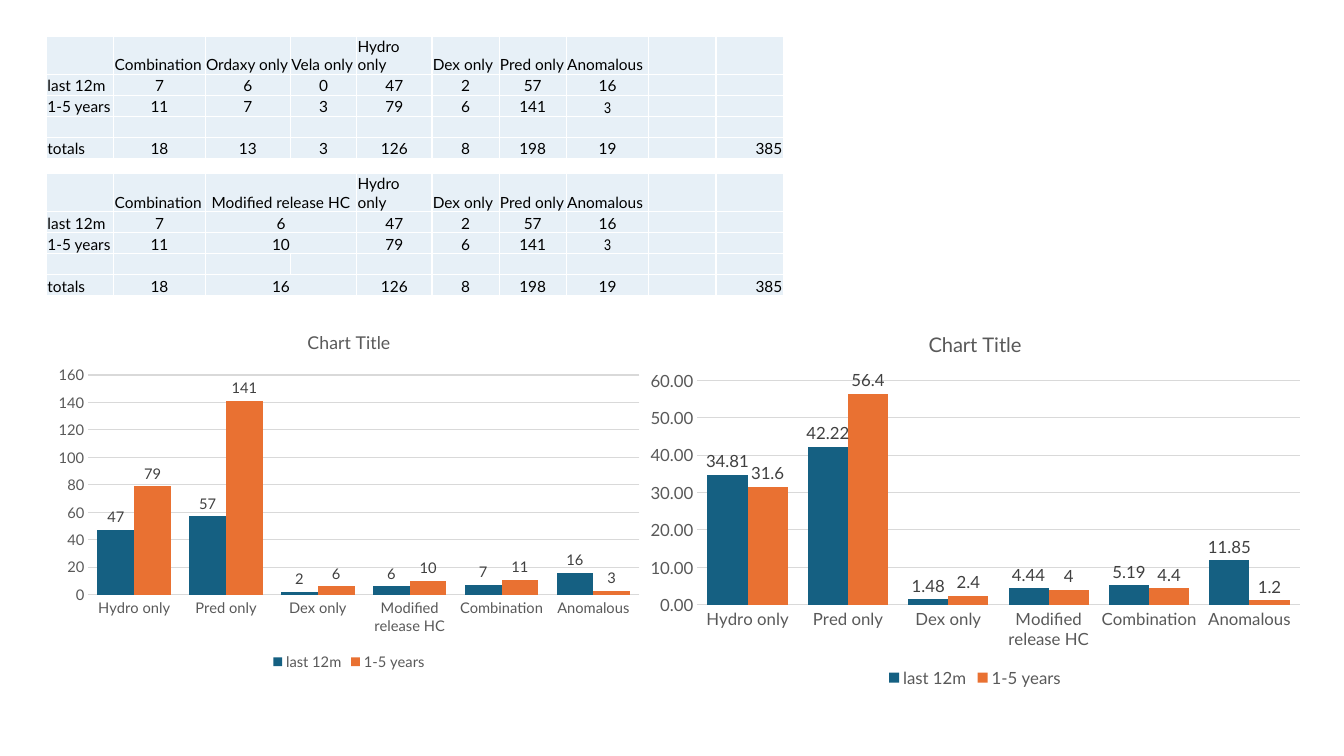
from lxml.etree import SubElement
from pptx import Presentation
from pptx.chart.data import CategoryChartData
from pptx.dml.color import RGBColor
from pptx.enum.chart import XL_CHART_TYPE as ChartType
from pptx.enum.chart import XL_LABEL_POSITION as LabelPosition
from pptx.enum.chart import XL_LEGEND_POSITION as LegendPosition
from pptx.enum.chart import XL_TICK_MARK as TickMark
from pptx.enum.text import MSO_ANCHOR as Anchor
from pptx.enum.text import PP_ALIGN as Align
from pptx.oxml.ns import qn
from pptx.util import Pt

BLACK = RGBColor(0x00, 0x00, 0x00)
WHITE = RGBColor(0xFF, 0xFF, 0xFF)
PALE_BLUE = RGBColor(0xE7, 0xF0, 0xF7)
GRID_GREY = RGBColor(0xD9, 0xD9, 0xD9)
TEXT_GREY = RGBColor(0x59, 0x59, 0x59)
LABEL_GREY = RGBColor(0x40, 0x40, 0x40)
TEAL = RGBColor(0x15, 0x60, 0x82)
ORANGE = RGBColor(0xE9, 0x71, 0x32)

FONT = "Lato"
CELL_SIZE = 11
COLUMN_WIDTHS = [48, 65.3, 61, 47.3, 53.7, 48, 48, 59, 48, 48]
ROW_HEIGHT = 15
ANOMALOUS_RECENT = (2, 7)  # the one cell set in a narrow font

# None joins a cell to the one on its left
PREPARATION_ROWS = [
    ["", "Combination", "Ordaxy only", "Vela only", "Hydro only",
     "Dex only", "Pred only", "Anomalous", "", ""],
    ["last 12m", "7", "6", "0", "47", "2", "57", "16", "", ""],
    ["1-5 years", "11", "7", "3", "79", "6", "141", "3", "", ""],
    [""] * 10,
    ["totals", "18", "13", "3", "126", "8", "198", "19", "", "385"],
]
GROUPED_ROWS = [
    ["", "Combination", "Modified release HC", None, "Hydro only",
     "Dex only", "Pred only", "Anomalous", "", ""],
    ["last 12m", "7", "6", None, "47", "2", "57", "16", "", ""],
    ["1-5 years", "11", "10", None, "79", "6", "141", "3", "", ""],
    [""] * 10,
    ["totals", "18", "16", None, "126", "8", "198", "19", "", "385"],
]

CATEGORIES = ["Hydro only", "Pred only", "Dex only",
              "Modified release HC", "Combination", "Anomalous"]
COUNTS = [
    ("last 12m", [47, 57, 2, 6, 7, 16], "General"),
    ("1-5 years", [79, 141, 6, 10, 11, 3], "General"),
]
PERCENTAGES = [
    ("last 12m", [34.81, 42.22, 1.48, 4.44, 5.19, 11.85], "0.00"),
    ("1-5 years", [31.6, 56.4, 2.4, 4, 4.4, 1.2], "General"),
]


def set_font(font, size, color, name=FONT):
    font.size = Pt(size)
    font.name = name
    font.bold = False
    font.color.rgb = color


def style_cell(cell):
    """Give a cell white borders, a pale fill and tight margins."""
    properties = cell._tc.get_or_add_tcPr()
    for side in ("a:lnL", "a:lnR", "a:lnT", "a:lnB"):
        border = SubElement(properties, qn(side), w=str(Pt(1)))
        fill = SubElement(border, qn("a:solidFill"))
        SubElement(fill, qn("a:srgbClr"), val=str(WHITE))
    cell.fill.solid()
    cell.fill.fore_color.rgb = PALE_BLUE
    cell.vertical_anchor = Anchor.BOTTOM
    cell.margin_left = cell.margin_right = cell.margin_top = Pt(0.6)
    cell.margin_bottom = 0


def cell_alignment(row, column, joined):
    if column == len(COLUMN_WIDTHS) - 1:
        return Align.RIGHT
    if column == 0 or (row == 0 and not joined):
        return Align.LEFT
    return Align.CENTER


def write_cell(cell, text, alignment, font_name):
    para = cell.text_frame.paragraphs[0]
    if not text:
        SubElement(para._p, qn("a:endParaRPr"), sz=str(CELL_SIZE * 100))
        return
    para.alignment = alignment
    span = para.add_run()
    span.text = text
    set_font(span.font, CELL_SIZE, BLACK, font_name)


def add_patient_table(page, left, top, rows):
    frame = page.shapes.add_table(
        len(rows), len(COLUMN_WIDTHS), Pt(left), Pt(top),
        Pt(sum(COLUMN_WIDTHS)), Pt(ROW_HEIGHT * len(rows)))
    table = frame.table
    table.first_row = table.horz_banding = False
    for column, width in zip(table.columns, COLUMN_WIDTHS):
        column.width = Pt(width)
    for r, texts in enumerate(rows):
        table.rows[r].height = Pt(ROW_HEIGHT)
        for c, text in enumerate(texts):
            cell = table.cell(r, c)
            style_cell(cell)
            joined = None in texts[c + 1:c + 2]
            name = "Arial Narrow" if (r, c) == ANOMALOUS_RECENT else FONT
            write_cell(cell, text, cell_alignment(r, c, joined), name)
            if text is None:
                table.cell(r, c - 1).merge(cell)


def style_axes(chart, size, number_format):
    for axis in (chart.category_axis, chart.value_axis):
        axis.major_tick_mark = axis.minor_tick_mark = TickMark.NONE
        set_font(axis.tick_labels.font, size, TEXT_GREY)
    values = chart.value_axis
    values.tick_labels.number_format = number_format
    values.tick_labels.number_format_is_linked = False
    values.format.line.fill.background()
    for line in (chart.category_axis.format.line,
                 values.major_gridlines.format.line):
        line.color.rgb = GRID_GREY
        line.width = Pt(0.75)


def style_series(series, color, size, number_format):
    series.format.fill.solid()
    series.format.fill.fore_color.rgb = color
    labels = series.data_labels
    labels.show_value = True
    labels.position = LabelPosition.OUTSIDE_END
    labels.number_format = number_format
    labels.number_format_is_linked = False
    set_font(labels.font, size, LABEL_GREY)


def add_treatment_chart(page, left, top, width, height, rows, size, axis_format):
    data = CategoryChartData()
    data.categories = CATEGORIES
    for name, values, number_format in rows:
        data.add_series(name, values, number_format)
    chart = page.shapes.add_chart(
        ChartType.COLUMN_CLUSTERED, Pt(left), Pt(top), Pt(width), Pt(height),
        data).chart
    set_font(chart.font, size, BLACK)

    title = chart.chart_title.text_frame.paragraphs[0].add_run()
    title.text = "Chart Title"
    set_font(title.font, size * 1.2, TEXT_GREY)
    chart.chart_title.include_in_layout = False

    chart.has_legend = True
    chart.legend.position = LegendPosition.BOTTOM
    chart.legend.include_in_layout = False
    set_font(chart.legend.font, size, TEXT_GREY)

    style_axes(chart, size, axis_format)
    plot = chart.plots[0]
    plot.gap_width = 50
    plot.overlap = 0
    plot.vary_by_categories = False
    for series, color, (_, _, number_format) in zip(plot.series, (TEAL, ORANGE), rows):
        style_series(series, color, size, number_format)


def main():
    deck = Presentation()
    deck.slide_width, deck.slide_height = Pt(960), Pt(540)
    page = deck.slides.add_slide(deck.slide_layouts[6])
    add_patient_table(page, 33.3, 25.8, PREPARATION_ROWS)
    add_patient_table(page, 33.3, 124, GROUPED_ROWS)
    add_treatment_chart(page, 33.3, 224, 432, 258, COUNTS, 10.5, "General")
    add_treatment_chart(page, 455, 224, 483, 270, PERCENTAGES, 12, "0.00")
    deck.save("out.pptx")


if __name__ == "__main__":
    main()
